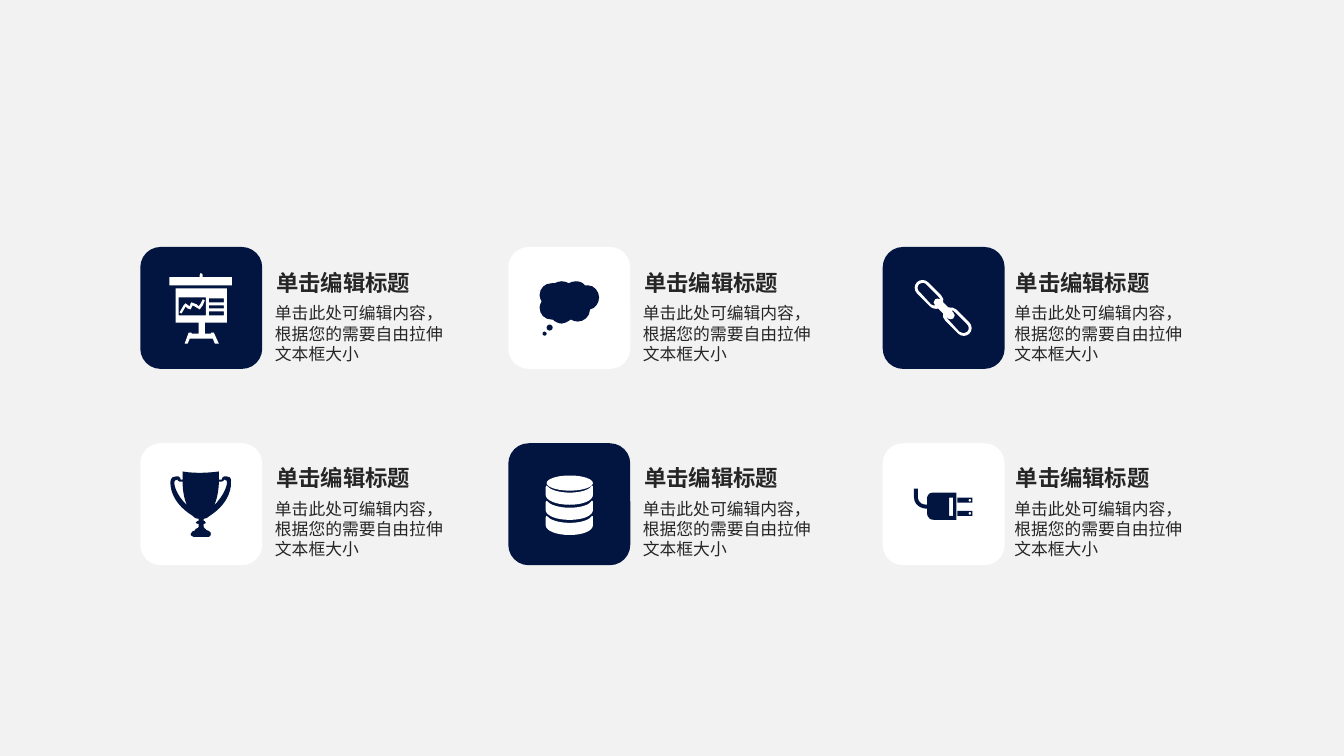
from lxml import etree
from pptx import Presentation
from pptx.util import Pt
from pptx.dml.color import RGBColor
from pptx.enum import shapes, text
from pptx.oxml.ns import qn

COLORS = {"background": "F2F2F2", "navy": "021540", "white": "FFFFFF", "ink": "262626"}
FONT = "Arial"
HEADING = "单击编辑标题"
DETAIL = "单击此处可编辑内容，根据您的需要自由拉伸文本框大小"

TILE_LEFTS = (100.2, 363.1, 630.5)
TEXT_LEFTS = (196.4, 459.2, 724.5)
TILE_TOP, TILE_PITCH = 176.4, 140.2
TEXT_TOP, TEXT_PITCH = 192.1, 139.7
TILE_SIZE = 87.1
HEADING_BOX = (1, 0, 102.2, 19.4)
DETAIL_BOX = (0, 24.4, 121.7, 44)
ICON_UNIT = 0.72


def box(left, top, right, bottom):
    return [(left, top), (right, top), (right, bottom), (left, bottom)]


def disk(y):
    return [[(61, y + 7), (50, y + 7, 41, y + 4, 38, y), (38, y, 37, y + 1, 37, y + 2),
             (37, y + 9), (37, y + 15, 48, y + 19, 61, y + 19),
             (74, y + 19, 84, y + 15, 84, y + 9), (84, y + 2),
             (84, y + 1, 84, y, 83, y), (81, y + 4, 72, y + 7, 61, y + 7)]]


def prong(y):
    return [box(74, y, 89, y + 5),
            [(86, y + 1), (87, y + 1, 88, y + 2, 88, y + 2.5),
             (88, y + 3.5, 87, y + 4, 86, y + 4), (85, y + 4, 85, y + 3.5, 85, y + 2.5),
             (85, y + 2, 85, y + 1, 86, y + 1)]]


RAIL = [[(62, 30), (62, 28), (62, 27, 61, 26, 60, 26), (60, 26, 59, 27, 59, 28),
         (59, 30), (29, 30), (29, 38), (91, 38), (91, 30)]]
BOARD = [[(86, 75), (86, 41), (35, 41), (35, 75), (58, 75), (58, 86), (51, 86),
          (51, 85), (48, 85), (44, 96), (47, 96), (49, 91), (72, 91), (74, 96),
          (78, 96), (73, 85), (70, 85), (70, 86), (64, 86), (64, 75)],
         box(68, 51, 83, 55), box(68, 58, 83, 61), box(68, 64, 83, 68),
         box(38, 50, 65, 68)]
TREND = [[(60, 56), (58, 59), (56, 57), (51, 55), (50, 56), (49, 59), (45, 56),
          (43, 58), (39, 65), (41, 66), (45, 59), (47, 61), (50, 62), (52, 58),
          (54, 59), (59, 62), (62, 58), (64, 53), (62, 52)]]
CLOUD = [[(90, 50), (90, 44, 85, 38, 79, 38), (78, 38, 77, 38, 76, 38),
          (74, 35, 70, 34, 67, 34), (64, 34, 62, 35, 60, 36), (58, 35, 56, 34, 53, 34),
          (50, 34, 48, 35, 46, 36), (45, 36, 44, 36, 43, 36), (36, 36, 31, 41, 31, 48),
          (31, 50, 32, 52, 33, 54), (32, 56, 31, 58, 31, 60), (31, 67, 36, 72, 43, 72),
          (44, 72), (46, 74, 50, 76, 53, 76), (56, 76, 59, 74, 62, 72),
          (64, 73, 66, 74, 69, 74), (75, 74, 81, 69, 81, 62), (86, 61, 90, 56, 90, 50)]]
CHAIN = [[(86, 75), (73, 62), (71, 60, 68, 60, 65, 60), (60, 55), (61, 53, 60, 50, 58, 48),
          (45, 35), (42, 32, 37, 32, 34, 35), (31, 38, 31, 43, 34, 46), (47, 59),
          (49, 61, 53, 62, 55, 61), (60, 66), (59, 68, 60, 71, 62, 73), (75, 86),
          (78, 89, 83, 89, 86, 86), (89, 83, 89, 78, 86, 75)],
         [(48, 57), (37, 45), (34, 43, 34, 39, 36, 37), (39, 35, 42, 35, 44, 38), (55, 49),
          (56, 50, 57, 51, 57, 52), (55, 51, 53, 51, 52, 52), (50, 54, 50, 56, 52, 58),
          (53, 58), (51, 58, 49, 58, 48, 57)],
         [(84, 84), (81, 86, 78, 86, 76, 84), (65, 72), (64, 71, 63, 70, 63, 69), (65, 71),
          (66, 72, 69, 72, 70, 71), (72, 69, 72, 67, 70, 65), (68, 63),
          (69, 63, 71, 63, 72, 65), (83, 76), (86, 78, 86, 82, 84, 84)]]
TROPHY = [[(69, 72), (91, 58, 90, 40, 90, 40), (90, 38), (90, 38, 91, 33, 86, 33), (83, 33),
           (81, 33, 81, 36, 81, 36), (78, 36), (78, 28), (56, 31, 42, 28, 42, 28), (42, 36),
           (40, 36), (40, 36, 40, 33, 38, 33), (35, 33), (30, 33, 30, 38, 30, 38), (30, 40),
           (30, 40, 29, 58, 52, 72), (52, 72, 54, 75, 58, 75), (58, 77),
           (58, 77, 55, 77, 55, 79), (55, 80, 58, 80, 58, 80), (58, 83),
           (58, 83, 57, 85, 55, 85), (55, 87, 53, 87, 53, 87), (53, 87, 50, 88, 50, 90),
           (50, 90, 50, 93, 53, 93), (68, 93), (70, 93, 70, 90, 70, 90),
           (70, 90, 70, 87, 68, 87), (65, 87, 65, 85, 65, 85), (65, 85, 63, 85, 63, 83),
           (63, 80), (63, 80, 65, 80, 65, 79), (65, 77, 63, 77, 63, 77), (63, 75),
           (65, 75, 67, 74, 69, 72)],
          [(78, 38), (81, 38), (83, 38, 83, 36, 83, 36), (86, 36, 86, 38, 86, 38), (86, 40),
           (86, 40, 85, 50, 73, 62), (76, 57, 78, 46, 78, 38)],
          [(47, 62), (35, 51, 34, 41, 34, 41), (34, 38), (34, 38, 34, 36, 37, 36),
           (37, 36, 37, 38, 39, 38), (42, 38), (42, 47, 44, 58, 47, 62)]]
PLUG = [[(44, 56), (44, 61), (34, 61, 35, 53, 35, 53), (35, 45), (31, 45), (31, 53),
         (31, 65, 44, 65, 44, 65), (44, 68), (44, 68, 43, 76, 51, 76), (73, 76), (73, 49),
         (50, 49), (43, 49, 44, 56, 44, 56)],
        box(66, 54, 70, 72)]

ITEMS = [
    {"outlines": [RAIL, BOARD, TREND], "ovals": []},
    {"outlines": [CLOUD], "ovals": [(38, 77, 6, 6), (34, 84, 4, 4)]},
    {"outlines": [CHAIN], "ovals": []},
    {"outlines": [TROPHY], "ovals": []},
    {"outlines": [disk(57), disk(72), disk(42)], "ovals": [(38, 32, 46, 15)]},
    {"outlines": [PLUG, prong(67), prong(54)], "ovals": []},
]


def paint(part, color):
    part.shadow.inherit = False
    part.fill.solid()
    part.fill.fore_color.rgb = RGBColor.from_string(COLORS[color])
    part.line.fill.background()


def icon_length(units):
    return Pt(units * ICON_UNIT)


def bend(segment, step):
    end = segment[0]
    segment.tag = qn("a:cubicBezTo")
    for position, (x, y) in enumerate((step[:2], step[2:4])):
        control = etree.Element(qn("a:pt"))
        control.set("x", str(int(end.get("x")) + icon_length(x - step[4])))
        control.set("y", str(int(end.get("y")) + icon_length(y - step[5])))
        segment.insert(position, control)


def draw_outline(slide, contours, left, top, color):
    first, *holes = [[tuple(map(icon_length, step[-2:])) for step in contour]
                     for contour in contours]
    pen = slide.shapes.build_freeform(*first[0])
    pen.add_line_segments(first[1:], close=True)
    for hole in holes:
        pen.move_to(*hole[0])
        pen.add_line_segments(hole[1:], close=True)
    outline = pen.convert_to_shape(Pt(left), Pt(top))
    steps = [step for contour in contours for step in contour[1:]]
    for segment, step in zip(list(outline.element.iter(qn("a:lnTo"))), steps):
        if len(step) == 6:
            bend(segment, step)
    paint(outline, color)


def write(slide, words, left, top, place, size, bold):
    dx, dy, width, height = place
    frame = slide.shapes.add_textbox(Pt(left + dx), Pt(top + dy), Pt(width), Pt(height)).text_frame
    frame.margin_left = frame.margin_right = frame.margin_top = frame.margin_bottom = 0
    frame.word_wrap = True
    frame.auto_size = text.MSO_AUTO_SIZE.SHAPE_TO_FIT_TEXT
    paragraph = frame.paragraphs[0]
    paragraph.text = words
    paragraph.font.name = FONT
    paragraph.font.size = Pt(size)
    paragraph.font.bold = bold
    paragraph.font.color.rgb = RGBColor.from_string(COLORS["ink"])


def main():
    deck = Presentation()
    deck.slide_width, deck.slide_height = Pt(960), Pt(540)
    slide = deck.slides.add_slide(deck.slide_layouts[6])
    slide.background.fill.solid()
    slide.background.fill.fore_color.rgb = RGBColor.from_string(COLORS["background"])
    for index, item in enumerate(ITEMS):
        row, column = divmod(index, len(TILE_LEFTS))
        left, top = TILE_LEFTS[column], TILE_TOP + row * TILE_PITCH
        tile_color, icon_color = ("white", "navy") if index % 2 else ("navy", "white")
        tile = slide.shapes.add_shape(shapes.MSO_SHAPE.ROUNDED_RECTANGLE, Pt(left), Pt(top),
                                      Pt(TILE_SIZE), Pt(TILE_SIZE))
        paint(tile, tile_color)
        for contours in item["outlines"]:
            draw_outline(slide, contours, left, top, icon_color)
        for x, y, width, height in item["ovals"]:
            oval = slide.shapes.add_shape(
                shapes.MSO_SHAPE.OVAL, Pt(left) + icon_length(x), Pt(top) + icon_length(y),
                icon_length(width), icon_length(height))
            paint(oval, icon_color)
        text_top = TEXT_TOP + row * TEXT_PITCH
        write(slide, HEADING, TEXT_LEFTS[column], text_top, HEADING_BOX, 16, True)
        write(slide, DETAIL, TEXT_LEFTS[column], text_top, DETAIL_BOX, 12, False)
    deck.save("out.pptx")


if __name__ == "__main__":
    main()
